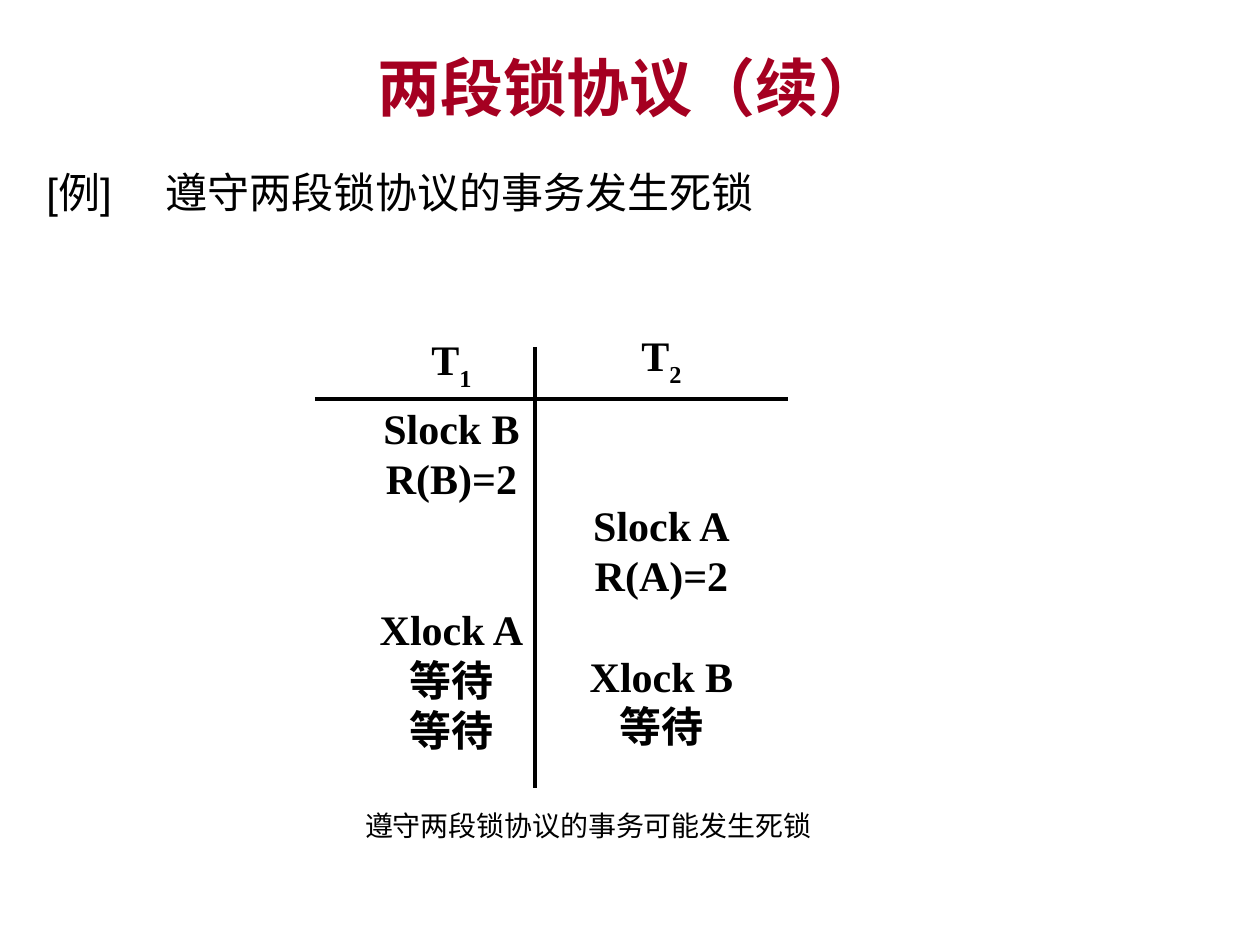
from dataclasses import dataclass
from lxml.etree import SubElement
from pptx import Presentation
from pptx.dml.color import RGBColor
from pptx.enum.shapes import MSO_CONNECTOR
from pptx.enum.text import MSO_ANCHOR, PP_ALIGN
from pptx.oxml.ns import qn
from pptx.util import Pt

PX = 914400 // 126


@dataclass(frozen=True)
class Theme:
    red: str = "A50021"
    black: str = "000000"
    sans: str = "Arial"
    serif: str = "Times New Roman"
    head: int = 36
    body: int = 24
    note: int = 16
    rule: float = 2.25
    pitch: float = 28.8


THEME = Theme()

# Content: each step is (row, text); rows left out are waiting gaps
TITLE = "两段锁协议（续）"
LEAD = "[例]\t遵守两段锁协议的事务发生死锁"
NOTE = "遵守两段锁协议的事务可能发生死锁"
COLS = [
    ("1", (367, 336), [(1, "Slock B"), (2, "R(B)=2"), (5, "Xlock A"),
                       (6, "等待"), (7, "等待")]),
    ("2", (577, 332), [(3, "Slock A"), (4, "R(A)=2"), (6, "Xlock B"),
                       (7, "等待")]),
]
COL_SIZE = (169, 494)
SUB_GAP = 5.6
RULES = [(315, 399, 788, 399), (535, 347, 535, 788)]


def style(para, size, face, color=THEME.black, bold=False):
    for run in para.runs:
        font = run.font
        font.size, font.name, font.bold = Pt(size), face, bold
        font.color.rgb = RGBColor.from_string(color)


def add_box(slide, left, top, width, height, anchor=MSO_ANCHOR.MIDDLE):
    box = slide.shapes.add_textbox(*(v * PX for v in (left, top, width, height)))
    frame = box.text_frame
    frame.word_wrap, frame.vertical_anchor = True, anchor
    return frame


def add_col(slide, sub, spot, steps):
    frame = add_box(slide, *spot, *COL_SIZE, MSO_ANCHOR.TOP)
    frame.word_wrap = False
    head = frame.paragraphs[0]
    head.text = "T"
    low = head.add_run()
    low.text = sub
    low.font._element.set("baseline", "-30000")
    last = 0
    for row, text in steps:
        para = frame.add_paragraph()
        para.text = text
        gap = (row - last - 1) * THEME.pitch + (SUB_GAP if last == 0 else 0)
        para.space_before = Pt(gap)
        last = row
    for para in frame.paragraphs:
        para.alignment = PP_ALIGN.CENTER
        para.line_spacing = Pt(THEME.pitch)
        style(para, THEME.body, THEME.serif, bold=True)


def add_rule(slide, *ends):
    line = slide.shapes.add_connector(MSO_CONNECTOR.STRAIGHT, *(v * PX for v in ends))
    line.line.width = Pt(THEME.rule)
    line.line.color.rgb = RGBColor.from_string(THEME.black)
    SubElement(line._element.spPr, qn("a:effectLst"))


def main():
    deck = Presentation()
    deck.slide_width, deck.slide_height = 1260 * PX, 945 * PX
    slide = deck.slides.add_slide(deck.slide_layouts[6])

    # Title
    para = add_box(slide, 63, 38, 1134, 97).paragraphs[0]
    para.text, para.alignment = TITLE, PP_ALIGN.CENTER
    style(para, THEME.head, THEME.sans, THEME.red, True)

    # Example line, with a tab stop after its label
    para = add_box(slide, 34, 160, 1121, 684, MSO_ANCHOR.TOP).paragraphs[0]
    para.text = LEAD
    tabs = SubElement(para._p.get_or_add_pPr(), qn("a:tabLst"))
    SubElement(tabs, qn("a:tab"), pos=str(119 * PX), algn="l")
    style(para, THEME.body, THEME.sans)

    # Schedule of the two transactions
    for col in COLS:
        add_col(slide, *col)
    for ends in RULES:
        add_rule(slide, *ends)

    # Caption
    para = add_box(slide, 302, 800, 573, 50).paragraphs[0]
    para.text, para.alignment = NOTE, PP_ALIGN.CENTER
    style(para, THEME.note, THEME.serif)

    deck.save("out.pptx")


if __name__ == "__main__":
    main()
